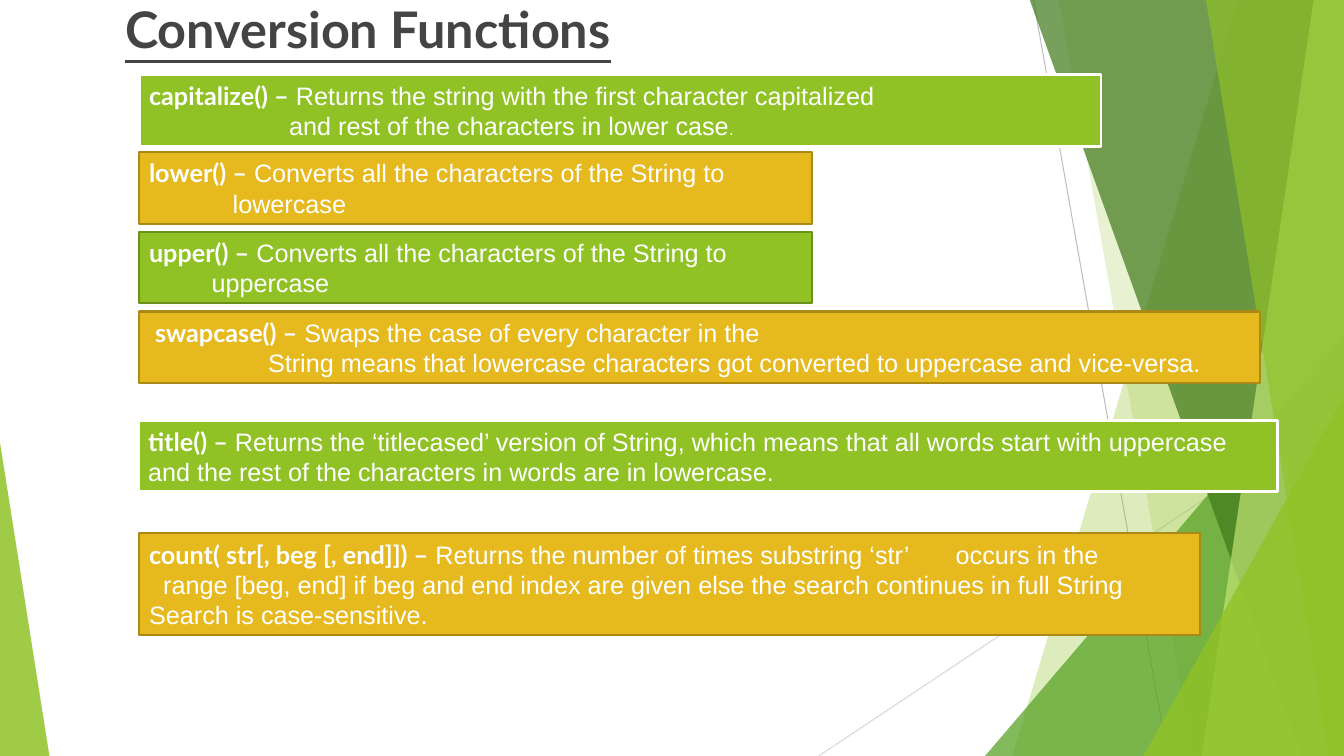
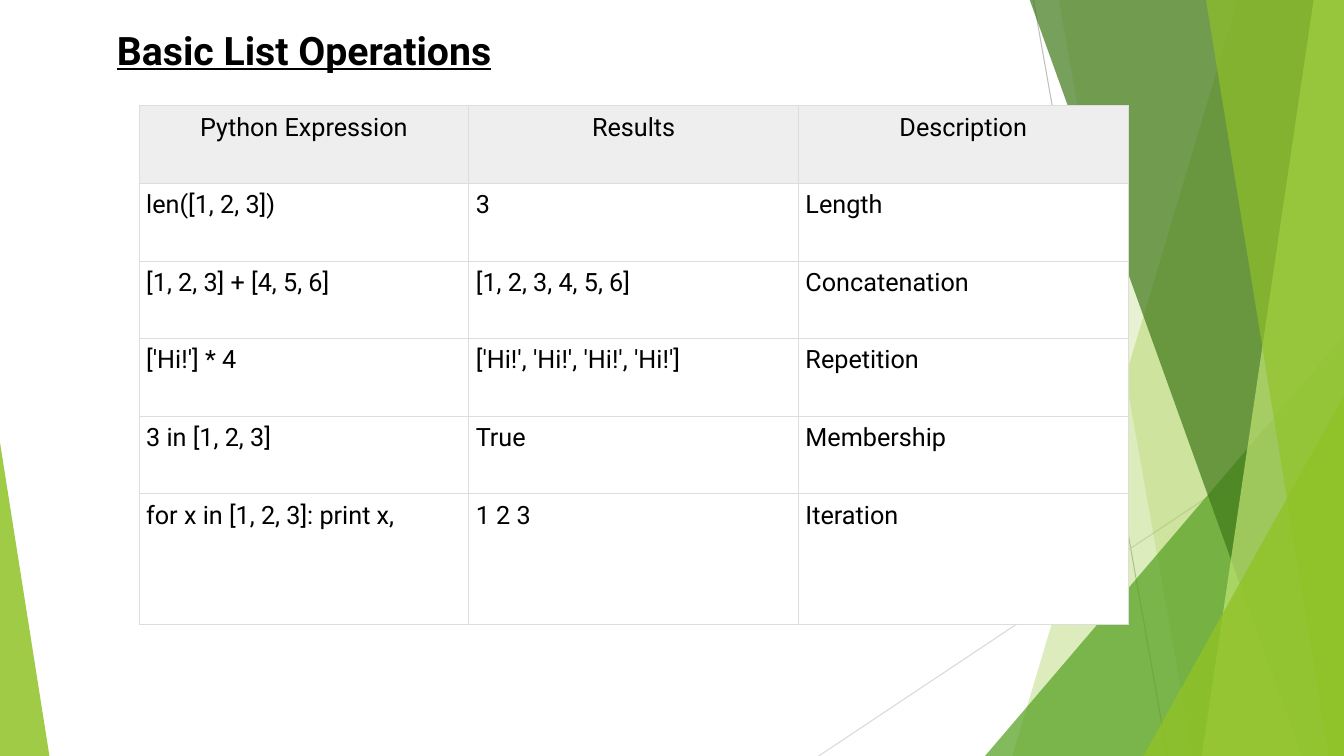
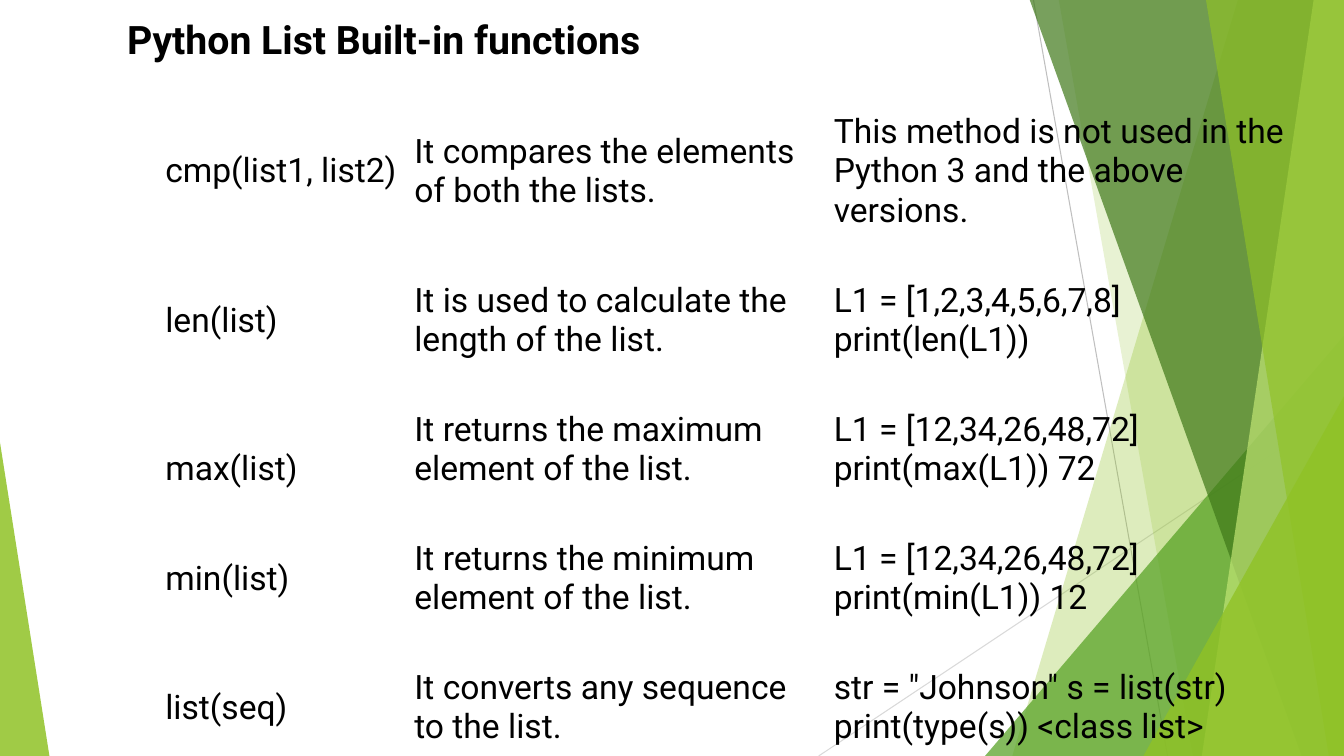
from lxml import etree
from pptx import Presentation
from pptx.dml.color import RGBColor
from pptx.enum.shapes import MSO_CONNECTOR, MSO_SHAPE
from pptx.enum.text import MSO_ANCHOR, MSO_AUTO_SIZE, PP_ALIGN
from pptx.oxml.ns import qn
from pptx.util import Inches, Pt

WIDTH, HEIGHT = 13.33, 7.5
GREEN, GOLD, WHITE, BLACK = "90C226", "E6B91E", "FFFFFF", "000000"
GREEN_EDGE, GOLD_EDGE = "6B901C", "AA8916"
NO_TABLE_STYLE = "{2D5ABB26-0587-4C30-8999-92F81FD0307C}"

HAIRLINES = [
    ((10.25, 0), (11.58, HEIGHT), "BFBFBF"),
    ((WIDTH, 4.03), (8.12, HEIGHT), "D9D9D9"),
]
FACETS = [
    ("band", 12.28, 10.04, GREEN, 30),
    ("band", 10.5, 11.83, GREEN, 20),
    ("triangle", 9.77, 3.33, 3.56, 1, "54A021", 72),
    ("band", 10.21, 12.91, "3F7819", 70),
    ("band", 13.03, 11.92, "C0E474", 70),
    ("band", 11.96, 13.18, GREEN, 65),
    ("triangle", 11.34, 3.93, 1.99, 1, GREEN, 80),
    ("triangle", 0, 4.39, 0.49, 0, GREEN, 85),
]

FUNCTION_BOXES = [
    ((1.38, 0.74, 9.54, 0.71), GREEN, WHITE, 2, "capitalize() –", [
        (0, " Returns the string with the first character capitalized", ""),
        (1.39, "and rest of the characters in lower case", "."),
    ]),
    ((1.38, 1.51, 6.67, 0.71), GOLD, GOLD_EDGE, 1.5, "lower() –", [
        (0, " Converts all the characters of the String to", ""),
        (0.83, "lowercase", ""),
    ]),
    ((1.38, 2.3, 6.67, 0.71), GREEN, GREEN_EDGE, 1.5, "upper() –", [
        (0, " Converts all the characters of the String to", ""),
        (0.62, "uppercase", ""),
    ]),
    ((1.38, 3.09, 11.12, 0.71), GOLD, GOLD_EDGE, 1.5, "swapcase() –", [
        (0.06, " Swaps the case of every character in the", ""),
        (1.18, "String means that lowercase characters got converted to "
               "uppercase and vice-versa.", ""),
    ]),
    ((1.37, 4.17, 11.3, 0.71), GREEN, WHITE, 2, "title() –", [
        (0, " Returns the ‘titlecased’ version of String, which means that "
            "all words start with uppercase", ""),
        (0, "and the rest of the characters in words are in lowercase.", ""),
    ]),
    ((1.38, 5.29, 10.52, 1.01), GOLD, GOLD_EDGE, 1.5,
     "count( str[, beg [, end]]) –", [
        (0, " Returns the number of times substring ‘str’\toccurs in the", ""),
        (0.14, "range [beg, end] if beg and end index are given else the "
               "search continues in full String", ""),
        (0, "Search is case-sensitive.", ""),
    ]),
]
TAB_STOP = 8.5

OPERATIONS = [
    ("Python Expression", "Results", "Description"),
    ("len([1, 2, 3])", "3", "Length"),
    ("[1, 2, 3] + [4, 5, 6]", "[1, 2, 3, 4, 5, 6]", "Concatenation"),
    ("['Hi!'] * 4", "['Hi!', 'Hi!', 'Hi!', 'Hi!']", "Repetition"),
    ("3 in [1, 2, 3]", "True", "Membership"),
    ("for x in [1, 2, 3]: print x,", "1 2 3", "Iteration"),
]

BUILT_INS = [
    ("cmp(list1, list2)", "It compares the elements of both the lists.",
     "This method is not used in the Python 3 and the above versions."),
    ("len(list)", "It is used to calculate the length of the list.",
     "L1 = [1,2,3,4,5,6,7,8]\nprint(len(L1))"),
    ("max(list)", "It returns the maximum element of the list.",
     "L1 = [12,34,26,48,72] print(max(L1)) 72"),
    ("min(list)", "It returns the minimum element of the list.",
     "L1 = [12,34,26,48,72] print(min(L1)) 12"),
    ("list(seq)", "It converts any sequence to the list.",
     "str = \"Johnson\" s = list(str) print(type(s)) <class list>"),
]


def rgb(value):
    return RGBColor.from_string(value)


def style_font(font, name, size, color, bold=False):
    font.name, font.size, font.bold = name, Pt(size), bold
    font.color.rgb = rgb(color)


def fill_facet(shape, color, opacity):
    shape.shadow.inherit = False
    shape.line.fill.background()
    shape.fill.solid()
    shape.fill.fore_color.rgb = rgb(color)
    source = shape.element.find(".//" + qn("a:srgbClr"))
    etree.SubElement(source, qn("a:alpha")).set("val", str(opacity * 1000))


def add_band(slide, top_x, bottom_x, color, opacity):
    corners = [(top_x, -0.01), (WIDTH, -0.01), (WIDTH, HEIGHT), (bottom_x, HEIGHT)]
    points = [(Inches(x), Inches(y)) for x, y in corners]
    builder = slide.shapes.build_freeform(*points[0])
    builder.add_line_segments(points[1:], close=True)
    shape = builder.convert_to_shape()
    fill_facet(shape, color, opacity)
    return shape


def add_triangle(slide, left, top, width, apex, color, opacity):
    shape = slide.shapes.add_shape(
        MSO_SHAPE.ISOSCELES_TRIANGLE, Inches(left), Inches(top),
        Inches(width), Inches(HEIGHT - top))
    shape.adjustments[0] = apex
    fill_facet(shape, color, opacity)
    return shape


def add_hairline(slide, start, end, color):
    line = slide.shapes.add_connector(
        MSO_CONNECTOR.STRAIGHT, *[Inches(value) for value in start + end])
    line.line.color.rgb = rgb(color)
    line.line.width = Pt(0.75)
    etree.SubElement(line.element.spPr, qn("a:effectLst"))
    return line


def decorate_layout(layout, slide):
    makers = {"band": add_band, "triangle": add_triangle}
    shapes = [add_hairline(slide, *hairline) for hairline in HAIRLINES]
    shapes += [makers[kind](slide, *values) for kind, *values in FACETS]
    for number, shape in enumerate(shapes, 101):
        shape.element.find(".//" + qn("p:cNvPr")).set("id", str(number))
        layout.shapes.element.append(shape.element)


def add_titled_slide(presentation, text, left, top, height, size=28,
                     font="Roboto", color=BLACK, underline=False):
    slide = presentation.slides.add_slide(presentation.slide_layouts[5])
    title = slide.shapes.title
    title.left, title.top = Inches(left), Inches(top)
    title.width, title.height = Inches(6.67), Inches(height)
    frame = title.text_frame
    frame.text = text
    frame.word_wrap = True
    frame.auto_size = MSO_AUTO_SIZE.NONE
    frame.vertical_anchor = MSO_ANCHOR.TOP
    paragraph = frame.paragraphs[0]
    paragraph.alignment = PP_ALIGN.LEFT
    style_font(paragraph.font, font, size, color, True)
    paragraph.font.underline = underline
    return slide


def add_run(paragraph, text, font, size, bold=False):
    run = paragraph.add_run()
    run.text = text
    style_font(run.font, font, size, WHITE, bold)


def add_function_box(slide, place, fill, edge, edge_width, heading, lines):
    box = slide.shapes.add_shape(
        MSO_SHAPE.RECTANGLE, *[Inches(value) for value in place])
    box.shadow.inherit = False
    box.fill.solid()
    box.fill.fore_color.rgb = rgb(fill)
    box.line.color.rgb = rgb(edge)
    box.line.width = Pt(edge_width)
    frame = box.text_frame
    frame.word_wrap = True
    for index, (indent, text, small_end) in enumerate(lines):
        paragraph = frame.add_paragraph() if index else frame.paragraphs[0]
        paragraph.alignment = PP_ALIGN.LEFT
        properties = paragraph._p.get_or_add_pPr()
        properties.set("marL", str(Inches(indent)))
        properties.set("indent", "0")
        if "\t" in text:
            stops = etree.SubElement(properties, qn("a:tabLst"))
            etree.SubElement(stops, qn("a:tab"), pos=str(Inches(TAB_STOP)), algn="l")
        if not index:
            add_run(paragraph, heading, "Lato", 18, True)
        add_run(paragraph, text, "Arial", 18)
        if small_end:
            add_run(paragraph, small_end, "Arial", 12)


def add_grid(slide, rows, left, top, widths, heights, size, margins, anchor):
    frame = slide.shapes.add_table(
        len(rows), len(widths), Inches(left), Inches(top),
        Inches(sum(widths)), Inches(sum(heights)))
    table = frame.table
    table.first_row = table.horz_banding = False
    frame.element.find(".//" + qn("a:tableStyleId")).text = NO_TABLE_STYLE
    for column, width in zip(table.columns, widths):
        column.width = Inches(width)
    for row, height, texts in zip(table.rows, heights, rows):
        row.height = Inches(height)
        for cell, text in zip(row.cells, texts):
            cell.text = text
            cell.vertical_anchor = anchor
            cell.margin_left = cell.margin_right = Inches(margins[0])
            cell.margin_top = cell.margin_bottom = Inches(margins[1])
            cell.fill.background()
            for paragraph in cell.text_frame.paragraphs:
                style_font(paragraph.font, "Roboto", size, BLACK)
    return table


def add_borders(cell, color, width):
    properties = cell._tc.get_or_add_tcPr()
    for position, side in enumerate(("a:lnL", "a:lnR", "a:lnT", "a:lnB")):
        border = etree.Element(qn(side), w=str(Pt(width)))
        solid = etree.SubElement(border, qn("a:solidFill"))
        etree.SubElement(solid, qn("a:srgbClr"), val=color)
        properties.insert(position, border)


def build_conversion_slide(presentation):
    slide = add_titled_slide(presentation, "Conversion Functions", 1.14, -0.07,
                             0.71, 36, "Lato", "444444", True)
    decorate_layout(slide.slide_layout, slide)
    for box in FUNCTION_BOXES:
        add_function_box(slide, *box)


def build_operations_slide(presentation):
    slide = add_titled_slide(presentation, "Basic List Operations", 1.06, 0.21,
                             0.57, underline=True)
    table = add_grid(slide, OPERATIONS, 1.38, 1.05, [3.27] * 3,
                     [0.77] * 5 + [1.3], 18, (0.07, 0.07), MSO_ANCHOR.TOP)
    for row_index, row in enumerate(table.rows):
        for cell in row.cells:
            cell.fill.solid()
            cell.fill.fore_color.rgb = rgb(WHITE if row_index else "EEEEEE")
            add_borders(cell, "DDDDDD", 0.6)
            if not row_index:
                cell.text_frame.paragraphs[0].alignment = PP_ALIGN.CENTER


def build_built_ins_slide(presentation):
    slide = add_titled_slide(presentation, "Python List Built-in functions",
                             1.16, 0.1, 0.57)
    table = add_grid(slide, BUILT_INS, 1.56, 1.06, [2.47, 4.16, 5.01],
                     [1.48] + [1.28] * 4, 24, (0.08, 0.04), MSO_ANCHOR.MIDDLE)
    for cell in table.rows[0].cells:
        cell.margin_bottom = Inches(0.24)
    table.cell(2, 0).margin_top = Inches(0.43)


def main():
    presentation = Presentation()
    presentation.slide_width = Inches(WIDTH)
    presentation.slide_height = Inches(HEIGHT)
    build_conversion_slide(presentation)
    build_operations_slide(presentation)
    build_built_ins_slide(presentation)
    presentation.save("out.pptx")


if __name__ == "__main__":
    main()
